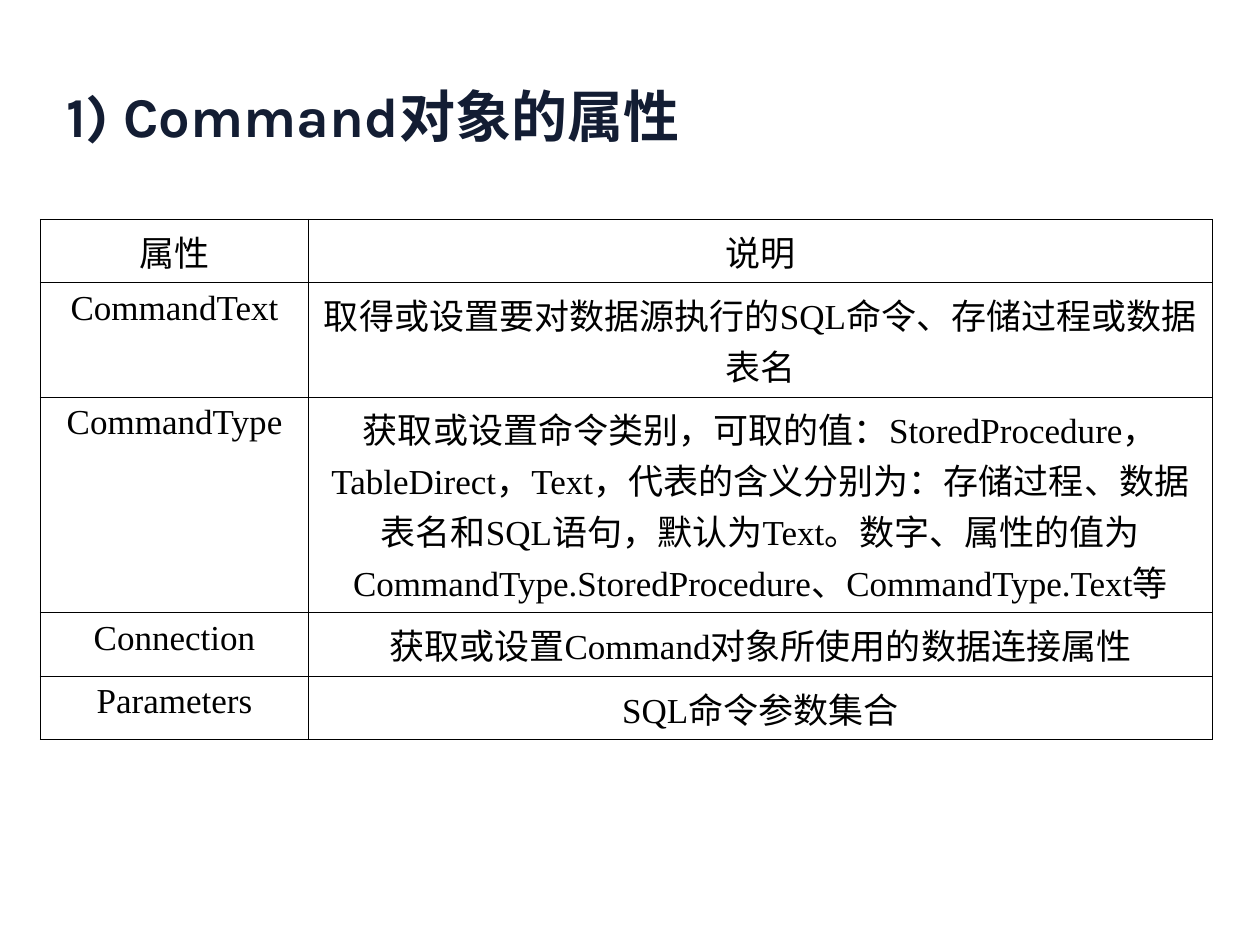
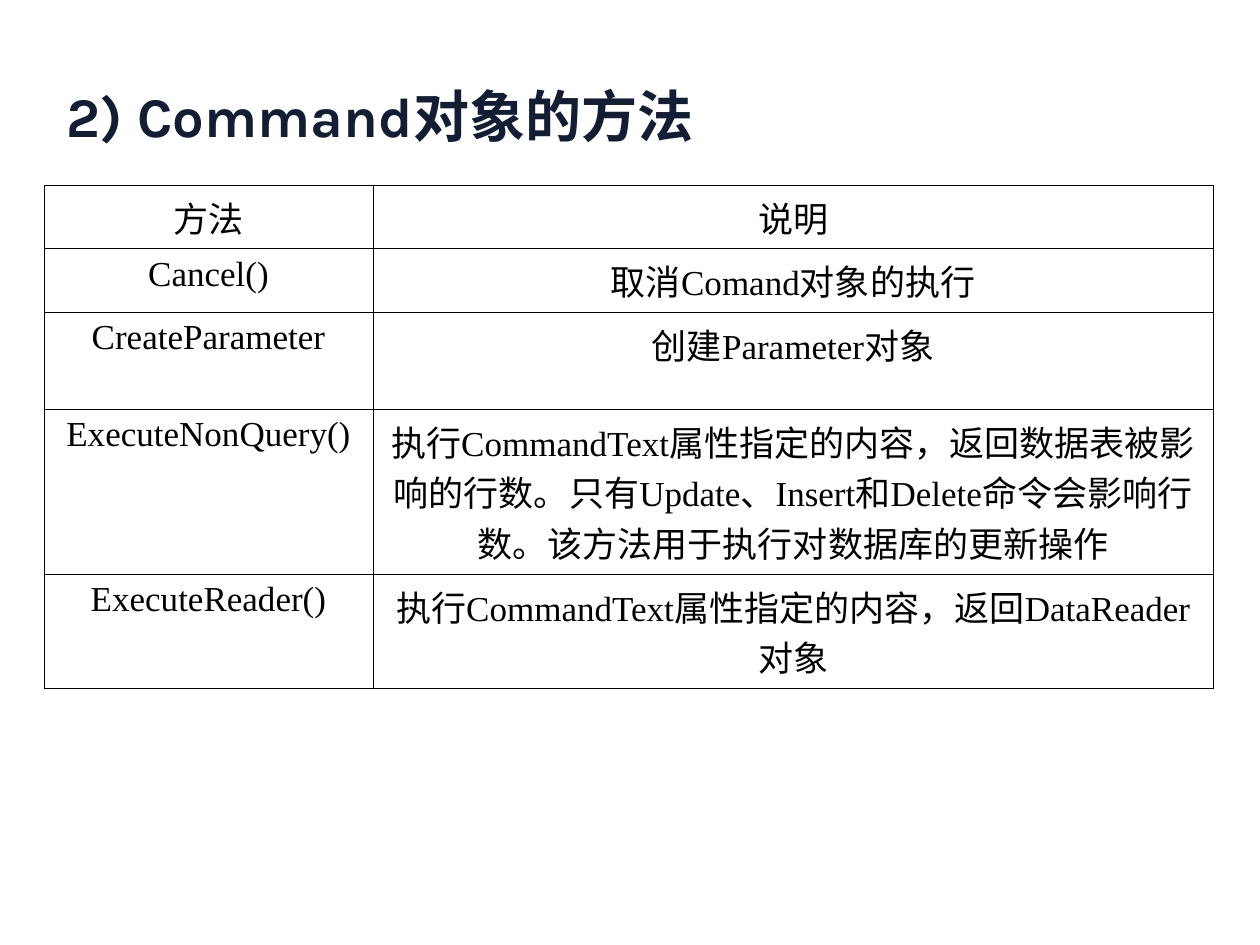
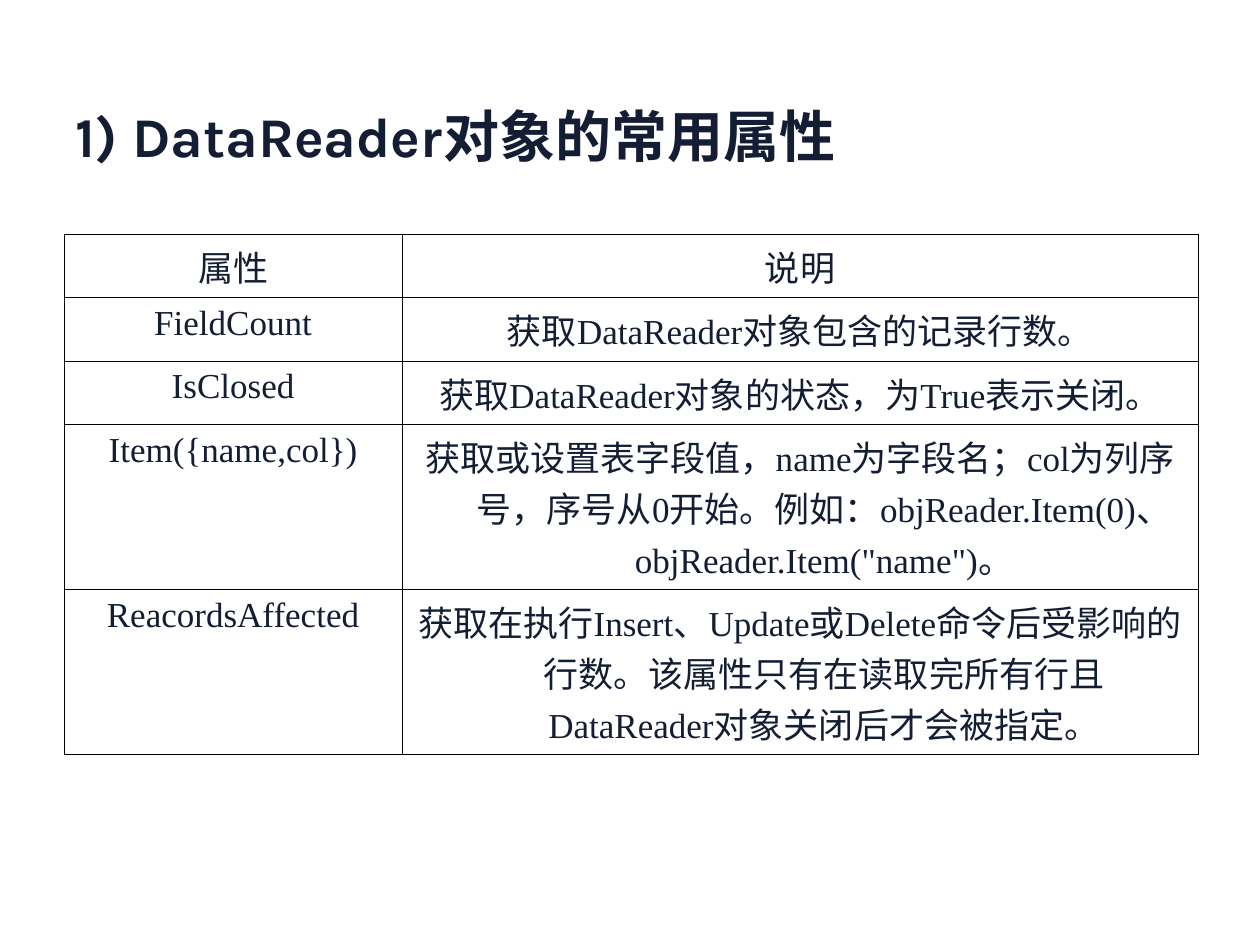
from pptx import Presentation
from pptx.dml.color import RGBColor
from pptx.enum.lang import MSO_LANGUAGE_ID
from pptx.enum.text import MSO_ANCHOR, MSO_AUTO_SIZE, PP_ALIGN
from pptx.oxml import parse_xml
from pptx.oxml.ns import nsdecls
from pptx.util import Inches, Pt

NAVY = RGBColor(0x13, 0x1D, 0x33)
BLACK = RGBColor(0x00, 0x00, 0x00)
TITLE_FONT = "Karla"
TABLE_FONT = "Times New Roman"
TITLE_SIZE = 32
TABLE_SIZE = 20
BORDER_WIDTH = 0.45
TITLE_ONLY = 5


class ReferenceDeck:
    """Holds the shared style and the slide being built."""

    def __init__(self):
        self.deck = Presentation()
        self.deck.slide_width = Inches(10)
        self.deck.slide_height = Inches(7.5)
        self.page = None

    def add_page(self):
        layout = self.deck.slide_layouts[TITLE_ONLY]
        self.page = self.deck.slides.add_slide(layout)

    def style(self, para, name, size, color, bold=False):
        for span in para.runs:
            font = span.font
            font.name, font.size, font.bold = name, Pt(size), bold
            font.color.rgb = color
            font.language_id = MSO_LANGUAGE_ID.SIMPLIFIED_CHINESE

    def title(self, text, left=0.43, top=0.6, height=0.63):
        box = self.page.shapes.title
        box.left, box.top = Inches(left), Inches(top)
        box.width, box.height = Inches(9), Inches(height)
        frame = box.text_frame
        frame.text = text
        frame.word_wrap = True
        frame.auto_size = MSO_AUTO_SIZE.NONE
        frame.vertical_anchor = MSO_ANCHOR.MIDDLE
        para = frame.paragraphs[0]
        para.alignment = PP_ALIGN.LEFT
        self.style(para, TITLE_FONT, TITLE_SIZE, NAVY, bold=True)

    def table(self, left, top, widths, heights, rows, color=BLACK, hanging=0):
        frame = self.page.shapes.add_table(
            len(rows), len(widths), Inches(left), Inches(top),
            Inches(sum(widths)), Inches(sum(heights)))
        table = frame.table
        table.first_row = table.horz_banding = False
        for column, width in zip(table.columns, widths):
            column.width = Inches(width)
        for row, height, texts in zip(table.rows, heights, rows):
            row.height = Inches(height)
            for cell, text in zip(row.cells, texts):
                self.cell(cell, text, color, hanging)

    def cell(self, cell, text, color, hanging):
        cell.text = text
        para = cell.text_frame.paragraphs[0]
        para.alignment = PP_ALIGN.CENTER
        if hanging:
            properties = para._p.get_or_add_pPr()
            properties.set("marL", str(Inches(hanging)))
            properties.set("indent", str(-Inches(hanging)))
        self.style(para, TABLE_FONT, TABLE_SIZE, color)
        self.borders(cell)
        cell.fill.background()

    def borders(self, cell):
        properties = cell._tc.get_or_add_tcPr()
        for side in ("lnL", "lnR", "lnT", "lnB"):
            properties.append(parse_xml(
                f'<a:{side} {nsdecls("a")} w="{Pt(BORDER_WIDTH)}"><a:solidFill>'
                f'<a:srgbClr val="{BLACK}"/></a:solidFill></a:{side}>'))


def main():
    reference = ReferenceDeck()

    # Command properties
    reference.add_page()
    reference.title("1) Command对象的属性")
    reference.table(0.32, 1.74, (2.13, 7.17), (0.44, 0.77, 1.44, 0.44, 0.44), (
        ("属性", "说明"),
        ("CommandText", "取得或设置要对数据源执行的SQL命令、存储过程或数据表名"),
        ("CommandType",
         "获取或设置命令类别，可取的值：StoredProcedure，TableDirect，Text，"
         "代表的含义分别为：存储过程、数据表名和SQL语句，默认为Text。"
         "数字、属性的值为CommandType.StoredProcedure、CommandType.Text等"),
        ("Connection", "获取或设置Command对象所使用的数据连接属性"),
        ("Parameters", "SQL命令参数集合"),
    ))

    # Command methods
    reference.add_page()
    reference.title("2) Command对象的方法")
    reference.table(0.35, 1.47, (2.61, 6.67), (0.44, 0.44, 0.77, 1.11, 0.77), (
        ("方法", "说明"),
        ("Cancel()", "取消Comand对象的执行"),
        ("CreateParameter", "创建Parameter对象"),
        ("ExecuteNonQuery()",
         "执行CommandText属性指定的内容，返回数据表被影响的行数。"
         "只有Update、Insert和Delete命令会影响行数。"
         "该方法用于执行对数据库的更新操作"),
        ("ExecuteReader()", "执行CommandText属性指定的内容，返回DataReader对象"),
    ))

    # DataReader properties
    reference.add_page()
    reference.title("1) DataReader对象的常用属性", left=0.5, top=0.32, height=1.51)
    reference.table(0.51, 1.86, (2.68, 6.32), (0.47, 0.47, 0.47, 1.14, 1.14), (
        ("属性", "说明"),
        ("FieldCount", "获取DataReader对象包含的记录行数。"),
        ("IsClosed", "获取DataReader对象的状态，为True表示关闭。"),
        ("Item({name,col})",
         "获取或设置表字段值，name为字段名；col为列序号，序号从0开始。"
         "例如：objReader.Item(0)、objReader.Item(\"name\")。"),
        ("ReacordsAffected",
         "获取在执行Insert、Update或Delete命令后受影响的行数。"
         "该属性只有在读取完所有行且DataReader对象关闭后才会被指定。"),
    ), color=NAVY, hanging=0.38)

    reference.deck.save("out.pptx")


if __name__ == "__main__":
    main()
